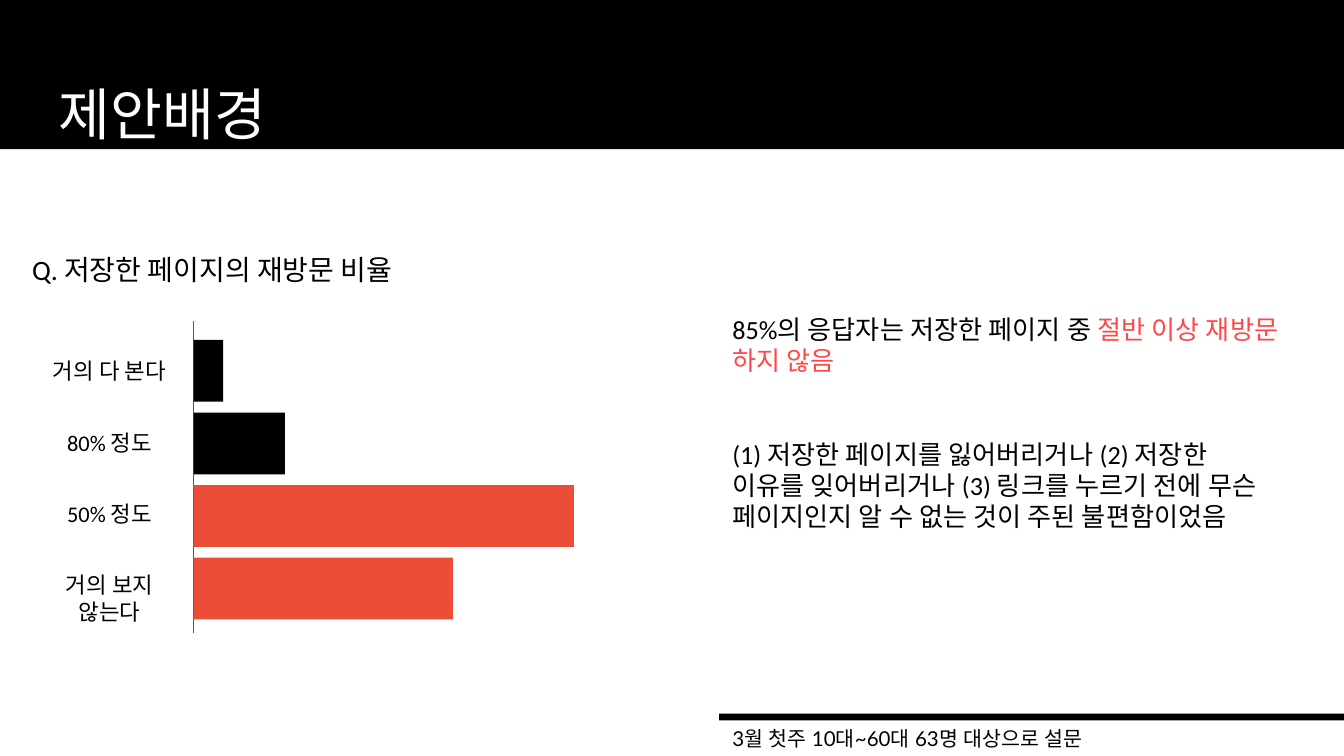
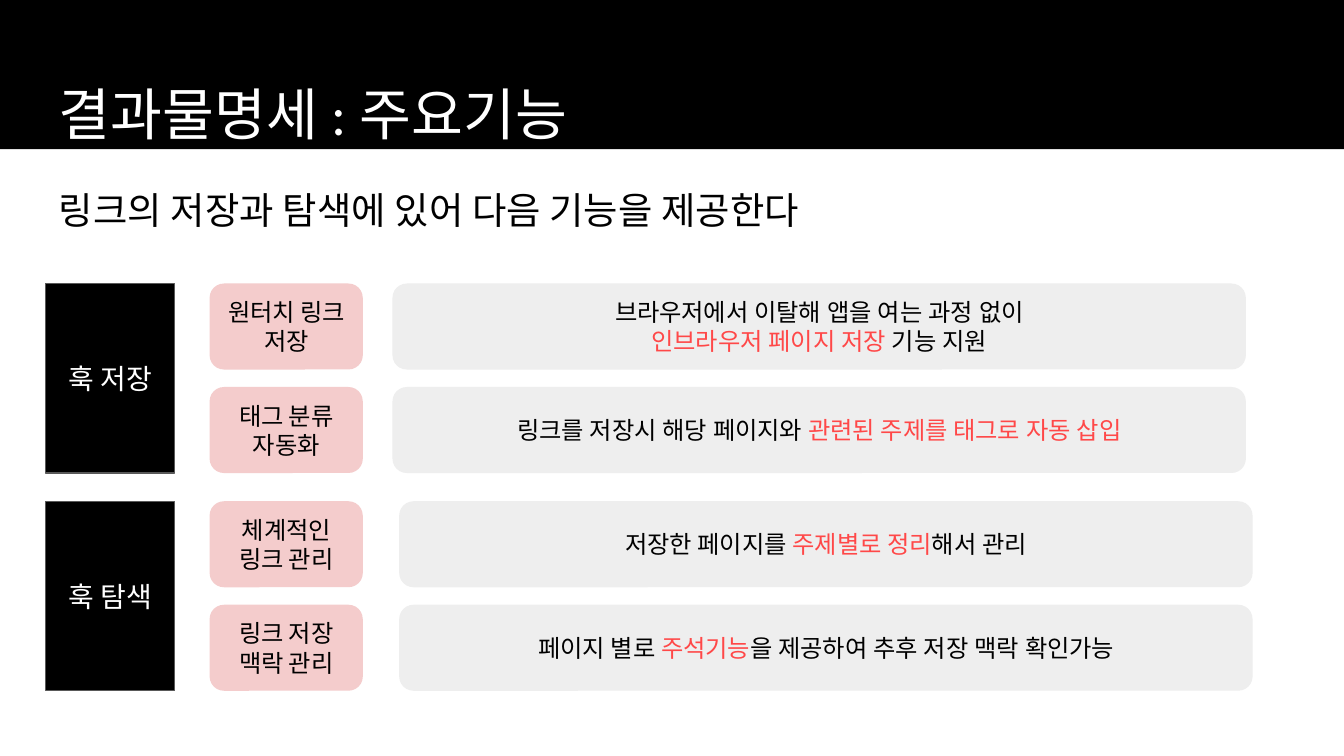
import pptx
import pptx.util
import pptx.dml.color
import pptx.enum.shapes
import pptx.enum.text
import pptx.oxml.ns
from lxml import etree

WIDTH = 10
HEIGHT = WIDTH * 9 / 16
COLORS = {
    "black": "000000",
    "white": "FFFFFF",
    "axis": "595959",
    "bar": "EC4D36",
    "accent": "FF4848",
    "pink": "F4CCCC",
    "gray": "EEEEEE",
}
BODY, NOTE = "Calibri", "Lato"
MARGIN = 0.34
BAND_HEIGHT = 1.11

SURVEY = {
    "title": "제안배경",
    "question": "Q. 저장한 페이지의 재방문 비율",
    "answers": [
        ("거의 다 본다", 0.22, "black"),
        ("80% 정도", 0.68, "black"),
        ("50% 정도", 2.83, "bar"),
        ("거의 보지 않는다", 1.93, "bar"),
    ],
    "findings": [
        (2.23, 0.67, [[("85%의 응답자는 저장한 페이지 중 ", "black"),
                       ("절반 이상 재방문 하지 않음", "accent")]]),
        (3.16, 0.91, "(1) 저장한 페이지를 잃어버리거나 (2) 저장한 이유를 잊어버리거나 "
                     "(3) 링크를 누르기 전에 무슨 페이지인지 알 수 없는 것이 주된 불편함이었음"),
    ],
    "source": "3월 첫주 10대~60대 63명 대상으로 설문",
}

FEATURES = {
    "title": "결과물명세 : 주요기능",
    "lead": "링크의 저장과 탐색에 있어 다음 기능을 제공한다",
    "groups": [
        ("훅 저장", 2.11, 2.92, [
            ("원터치 링크 저장", [
                [("브라우저에서 이탈해 앱을 여는 과정 없이", "black")],
                [("인브라우저 페이지 저장", "accent"), (" 기능 지원", "black")]]),
            ("태그 분류 자동화", [
                [("링크를 저장시 해당 페이지와", "black"),
                 (" 관련된 주제를 태그로 자동 삽입", "accent")]]),
        ]),
        ("훅 탐색", 3.73, 2.97, [
            ("체계적인 링크 관리", [
                [("저장한 페이지를 ", "black"), ("주제별로 정리", "accent"),
                 ("해서 관리", "black")]]),
            ("링크 저장 맥락 관리", [
                [("페이지 별로 ", "black"), ("주석기능", "accent"),
                 ("을 제공하여 추후 저장 맥락 확인가능", "black")]]),
        ]),
    ],
}


def inches(*lengths):
    return [pptx.util.Inches(length) for length in lengths]


def rgb(name):
    return pptx.dml.color.RGBColor.from_string(COLORS[name])


def set_font(span, font):
    span.font.name = font
    properties = span._r.get_or_add_rPr()
    properties.set("lang", "ko")
    for script in ("a:ea", "a:cs", "a:sym"):
        etree.SubElement(properties, pptx.oxml.ns.qn(script)).set("typeface", font)


def write(box, text, size=14, color="black", font=BODY, center=False, middle=False):
    paragraphs = [[(text, color)]] if isinstance(text, str) else text
    frame = box.text_frame
    frame.word_wrap = True
    frame.margin_left, frame.margin_top, frame.margin_right, frame.margin_bottom = inches(*[0.1] * 4)
    anchors = pptx.enum.text.MSO_ANCHOR
    frame.vertical_anchor = anchors.MIDDLE if middle else anchors.TOP
    for index, parts in enumerate(paragraphs):
        para = frame.paragraphs[0] if index == 0 else frame.add_paragraph()
        aligns = pptx.enum.text.PP_ALIGN
        para.alignment = aligns.CENTER if center else aligns.LEFT
        for words, tint in parts:
            span = para.add_run()
            span.text = words
            span.font.size = pptx.util.Pt(size)
            span.font.color.rgb = rgb(tint)
            set_font(span, font)


def add_text(page, place, text, **style):
    write(page.shapes.add_textbox(*inches(*place)), text, **style)


def add_box(page, place, fill, rounded=False, outline=None):
    kinds = pptx.enum.shapes.MSO_SHAPE
    kind = kinds.ROUNDED_RECTANGLE if rounded else kinds.RECTANGLE
    box = page.shapes.add_shape(kind, *inches(*place))
    box.shadow.inherit = False
    box.fill.solid()
    box.fill.fore_color.rgb = rgb(fill)
    if outline:
        box.line.color.rgb = rgb(outline)
        box.line.width = pptx.util.Pt(0.75)
    else:
        box.line.fill.background()
    return box


def add_axis(page, x, top, bottom):
    axis = page.shapes.add_connector(
        pptx.enum.shapes.MSO_CONNECTOR.STRAIGHT, *inches(x, top, x, bottom))
    axis.line.color.rgb = rgb("axis")
    axis.line.width = pptx.util.Pt(0.75)
    etree.SubElement(axis._element.spPr, pptx.oxml.ns.qn("a:effectLst"))


def add_page(deck, title):
    page = deck.slides.add_slide(deck.slide_layouts[6])
    add_box(page, (0, 0, WIDTH, BAND_HEIGHT), "black")
    add_text(page, (MARGIN, 0.49, WIDTH - 2 * MARGIN, 0.63), title, size=30.2, color="white")
    return page


def build_survey(deck):
    page = add_page(deck, SURVEY["title"])
    right, note_top = 5.35, 5.31
    add_box(page, (right, note_top, WIDTH - right, 0.05), "black")
    axis_x, bar_top, bar_height, bar_step = 1.44, 2.53, 0.46, 0.54
    label_top, label_step = 2.56, 0.53
    add_axis(page, axis_x, 2.39, 4.71)
    add_text(page, (0.14, 1.78, 3.28, 0.45), SURVEY["question"], size=15)
    for row, (label, length, color) in enumerate(SURVEY["answers"]):
        add_box(page, (axis_x, bar_top + row * bar_step, length, bar_height), color)
        add_text(page, (0.17, label_top + row * label_step, 1.29, 0.4), label,
                 size=12, center=True)
    add_text(page, (right, note_top, WIDTH - right, 0.4), SURVEY["source"], size=11, font=NOTE)
    for top, height, finding in SURVEY["findings"]:
        add_text(page, (right, top, WIDTH - MARGIN - right, height), finding)


def build_features(deck):
    page = add_page(deck, FEATURES["title"])
    add_text(page, (MARGIN, 1.29, WIDTH - 2 * MARGIN, 0.52), FEATURES["lead"], size=20)
    row_height, row_step = 0.64, 0.77
    centered = {"center": True, "middle": True}
    for group, top, detail_left, rows in FEATURES["groups"]:
        group_box = add_box(page, (MARGIN, top, 0.96, row_step + row_height), "black",
                            outline="axis")
        write(group_box, group, size=15, color="white", **centered)
        for row, (name, detail) in enumerate(rows):
            row_top = top + row * row_step
            name_box = add_box(page, (1.56, row_top, 1.14, row_height), "pink", rounded=True)
            write(name_box, name, size=13, **centered)
            detail_box = add_box(page, (detail_left, row_top, 6.35, row_height), "gray",
                                 rounded=True)
            write(detail_box, detail, size=13, font=NOTE, **centered)


def main():
    deck = pptx.Presentation()
    deck.slide_width, deck.slide_height = inches(WIDTH, HEIGHT)
    build_survey(deck)
    build_features(deck)
    deck.save("out.pptx")


if __name__ == "__main__":
    main()
